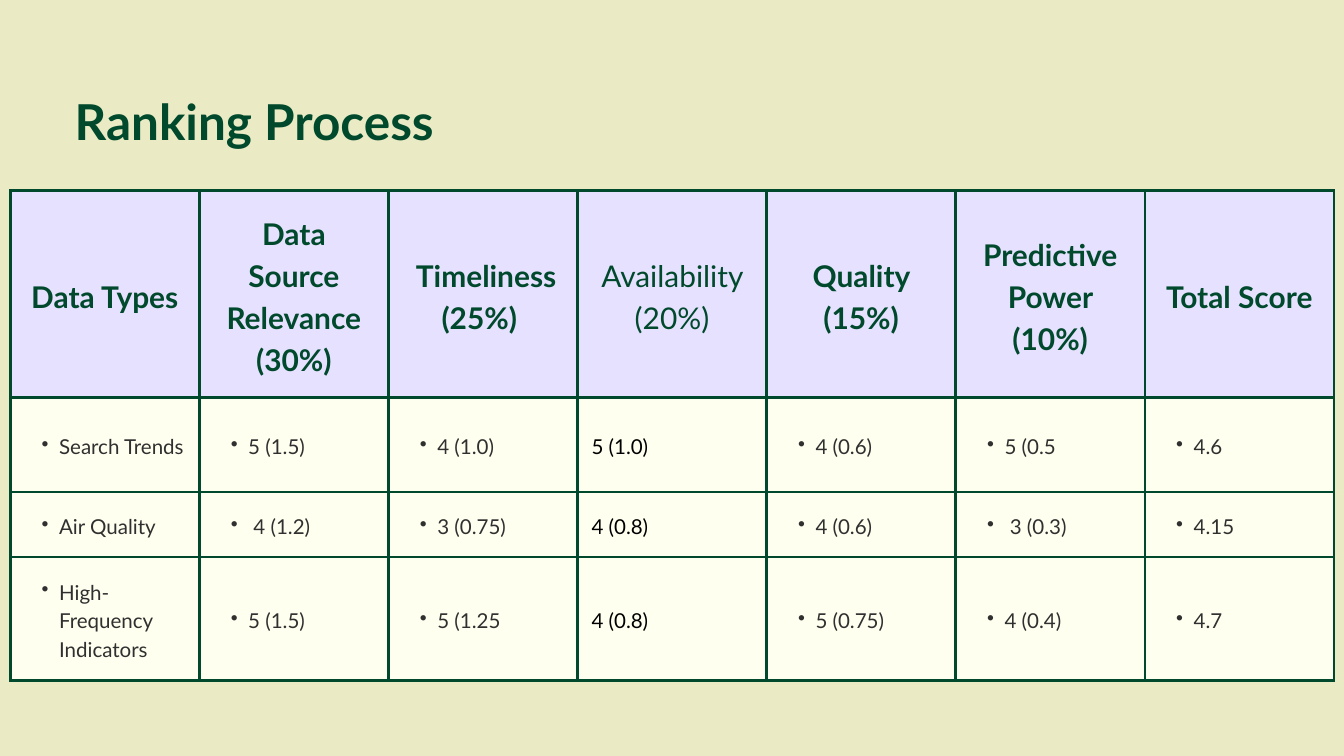
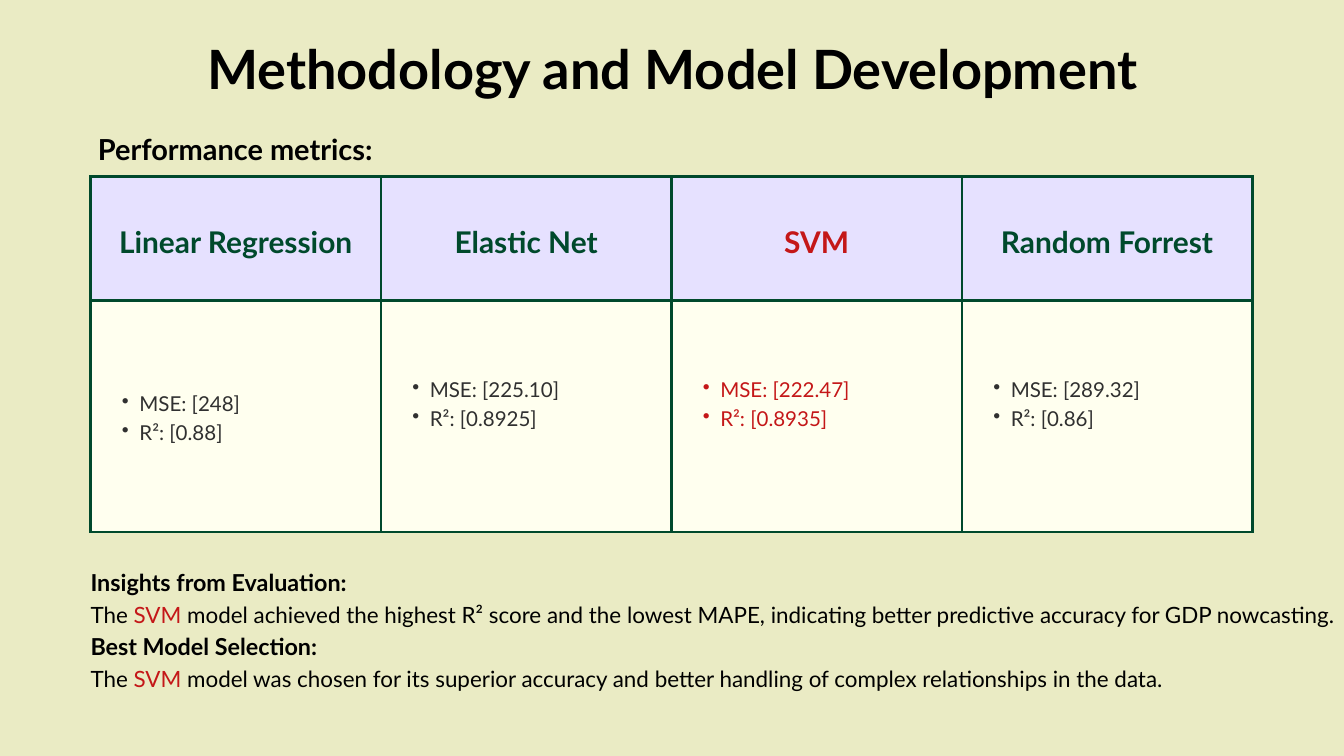
import lxml.etree
import pptx
import pptx.dml.color
import pptx.enum.text
import pptx.oxml.ns
import pptx.util

Pt = pptx.util.Pt
rgb = pptx.dml.color.RGBColor.from_string
qn = pptx.oxml.ns.qn
SubElement = lxml.etree.SubElement
LEFT = pptx.enum.text.PP_ALIGN.LEFT
CENTER = pptx.enum.text.PP_ALIGN.CENTER

FONT = "Lato"
SAND, LILAC, CREAM = "EAEBC4", "E6E1FF", "FFFFEF"
GREEN, GRAY, BLACK, RED = "00492C", "303030", "000000", "C41718"
INSET = 15


def write(frame, runs, size, space, align=LEFT, bold=False, bullet=False):
    """Add one paragraph of (text, colour) runs, filling the first one if empty."""
    frame.word_wrap = True
    para = frame.paragraphs[0]
    if para.runs:
        para = frame.add_paragraph()
    para.alignment = align
    para.line_spacing = Pt(space)
    if bullet:
        para.level = 1
        props = para._p.get_or_add_pPr()
        props.set("marL", str(Pt(37.4)))
        props.set("indent", str(-Pt(18.7)))
        SubElement(props, qn("a:buChar"), char="•")
    for text, color in runs:
        run = para.add_run()
        run.text = text
        run.font.name = FONT
        run.font.size = Pt(size)
        run.font.bold = bold
        run.font.color.rgb = rgb(color)


def grid(slide, left, top, wide, heights, rows, plain=None, red=None):
    """Add a table; column `plain` has no bold or bullets, column `red` is red."""
    count = len(rows[0])
    table = slide.shapes.add_table(len(rows), count, Pt(left), Pt(top),
                                   Pt(wide * count), Pt(sum(heights))).table
    for col in table.columns:
        col.width = Pt(wide)
    for r, (high, row) in enumerate(zip(heights, rows)):
        table.rows[r].height = Pt(high)
        for c, text in enumerate(row):
            cell = table.cell(r, c)
            cell.margin_left = cell.margin_right = Pt(INSET)
            cell.margin_top = cell.margin_bottom = Pt(INSET)
            cell.vertical_anchor = pptx.enum.text.MSO_ANCHOR.MIDDLE
            props = cell._tc.get_or_add_tcPr()
            for side in ("lnL", "lnR", "lnT", "lnB"):
                line = SubElement(props, qn(f"a:{side}"), w=str(Pt(3)))
                SubElement(SubElement(line, qn("a:solidFill")), qn("a:srgbClr"), val=GREEN)
            cell.fill.solid()
            cell.fill.fore_color.rgb = rgb(CREAM if r else LILAC)
            frame = cell.text_frame
            if r == 0:
                color = RED if c == red else GREEN
                write(frame, [(text, color)], 32, 44.8, CENTER, bold=c != plain)
                continue
            color = RED if c == red else BLACK if c == plain else GRAY
            for part in text.split("\n"):
                write(frame, [(part, color)], 22, 30.8, bullet=c != plain)
    return table


deck = pptx.Presentation()
deck.slide_width, deck.slide_height = Pt(1440), Pt(810)
rank, model = [deck.slides.add_slide(deck.slide_layouts[6]) for _ in range(2)]
for slide in (rank, model):
    slide.background.fill.solid()
    slide.background.fill.fore_color.rgb = rgb(SAND)

# Tables
grid(rank, 11, 204, 202.6, [222, 101, 70, 132], [
    ["Data Types", "Data Source Relevance (30%)", " Timeliness (25%) ", "Availability (20%)",
     "Quality (15%)", "Predictive Power (10%)", "Total Score"],
    ["Search Trends", "5 (1.5)", "4 (1.0)", "5 (1.0)", "4 (0.6)", "5 (0.5", "4.6"],
    ["Air Quality", " 4 (1.2)", "3 (0.75)", "4 (0.8)", "4 (0.6)", " 3 (0.3)", "4.15"],
    ["High-Frequency Indicators", "5 (1.5)", "5 (1.25", "4 (0.8)", "5 (0.75)", "4 (0.4)", "4.7"],
], plain=3)

scores = grid(model, 97, 189, 311.2, [133, 248], [
    ["Linear Regression", "Elastic Net", "SVM", "Random Forrest"],
    ["MSE: [248]\nR²: [0.88]", "MSE: [225.10]\nR²: [0.8925]",
     "MSE: [222.47]\nR²: [0.8935]", "MSE: [289.32]\nR²: [0.86]"],
], red=2)
# All scores but the first sit half a line higher
for c in range(1, 4):
    scores.cell(1, c).margin_bottom = Pt(INSET + 30.8)

# Headings and closing text
svm = ("SVM ", RED)
texts = [
    (rank, (80, 103, 1412, 59),
     [([("Ranking Process", GREEN)], 53, 58.3, LEFT, True)]),
    (model, (199, 26, 1043, 78),
     [([("Methodology and Model Development", BLACK)], 58, 81.2, CENTER, True)]),
    (model, (97, 135, 310, 41),
     [([("Performance metrics:", BLACK)], 31, 43.4, CENTER, True)]),
    (model, (97, 604, 1343, 166), [
        ([("Insights from Evaluation:", BLACK)], 25, 35, LEFT, True),
        ([("The ", BLACK), svm,
          ("model achieved the highest R² score and the lowest MAPE, indicating better "
           "predictive accuracy for GDP nowcasting.", BLACK)], 24, 33.6),
        ([("Best Model Selection:", BLACK)], 25, 35, LEFT, True),
        ([("The ", BLACK), svm,
          ("model was chosen for its superior accuracy and better handling of complex "
           "relationships in the data.", BLACK)], 24, 33.6),
    ]),
]
for slide, place, lines in texts:
    frame = slide.shapes.add_textbox(*map(Pt, place)).text_frame
    frame.margin_left = frame.margin_right = 0
    frame.margin_top = frame.margin_bottom = 0
    for line in lines:
        write(frame, *line)

deck.save("out.pptx")
